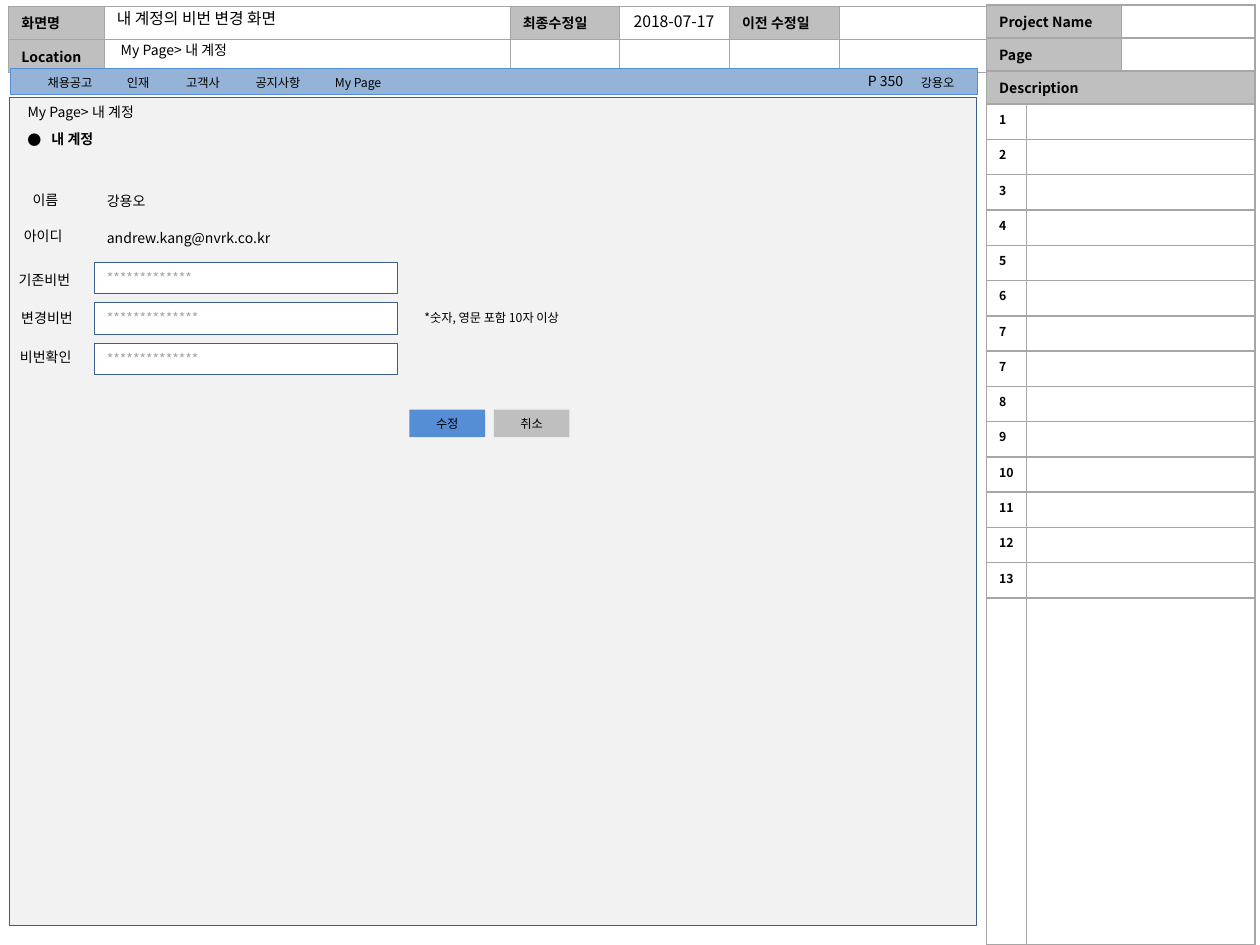
import pptx
import pptx.util
import pptx.dml.color
import pptx.enum.shapes
import pptx.enum.text
import pptx.oxml.ns
from dataclasses import dataclass
from lxml import etree

Inches, Pt = pptx.util.Inches, pptx.util.Pt
qn = pptx.oxml.ns.qn


@dataclass(frozen=True)
class Theme:
    font: str = "Noto Sans CJK KR"
    black: str = "000000"
    white: str = "FFFFFF"
    panel: str = "F2F2F2"
    label: str = "BFBFBF"
    grid: str = "A6A6A6"
    nav: str = "95B3D7"
    accent: str = "558ED5"
    outline: str = "3A5F8C"
    small: int = 7
    body: int = 8
    title: int = 9
    hair: float = 0.25
    thin: float = 0.5
    rule: float = 1


T = Theme()


def rgb(value):
    return pptx.dml.color.RGBColor.from_string(value)


def write(tf, text, size=T.body, color=T.black, bold=False, center=False, bullet=None):
    p = tf.paragraphs[0]
    if center:
        p.alignment = pptx.enum.text.PP_ALIGN.CENTER
    if bullet:
        pPr = p._p.get_or_add_pPr()
        pPr.set("marL", str(Inches(0.19)))
        pPr.set("indent", str(-Inches(0.19)))
        etree.SubElement(pPr, qn("a:buFont")).set("typeface", T.font)
        etree.SubElement(pPr, qn("a:buChar")).set("char", bullet)
    if not text:
        # An empty cell keeps its row low through its end-of-paragraph size
        etree.SubElement(p._p, qn("a:endParaRPr")).set("sz", str(size * 100))
        return
    r = p.add_run()
    r.text = text
    r.font.name, r.font.size, r.font.bold = T.font, Pt(size), bold
    r.font.color.rgb = rgb(color)
    latin = r._r.rPr.find(qn("a:latin"))
    ea = etree.Element(qn("a:ea"))
    ea.set("typeface", T.font)
    latin.addnext(ea)


class Screen:
    def __init__(self, slide, theme):
        self.s, self.t = slide, theme

    def text(self, x, y, w, text, size=T.body, **fmt):
        height = {T.small: 0.22, T.body: 0.24, T.title: 0.25}[size]
        sp = self.s.shapes.add_textbox(Inches(x), Inches(y), Inches(w), Inches(height))
        sp.text_frame.word_wrap = True
        write(sp.text_frame, text, size=size, **fmt)

    def box(self, x, y, w, h, fill, line=None, text=None, **fmt):
        sp = self.s.shapes.add_shape(pptx.enum.shapes.MSO_SHAPE.RECTANGLE,
                                     Inches(x), Inches(y), Inches(w), Inches(h))
        sp.shadow.inherit = False
        sp.fill.solid()
        sp.fill.fore_color.rgb = rgb(fill)
        if line:
            sp.line.color.rgb = rgb(line)
            sp.line.width = Pt(self.t.hair)
        else:
            sp.line.fill.background()
        if text:
            tf = sp.text_frame
            tf.paragraphs[0].alignment = pptx.enum.text.PP_ALIGN.LEFT
            tf.vertical_anchor = pptx.enum.text.MSO_ANCHOR.MIDDLE
            write(tf, text, **fmt)

    def table(self, x, y, cols, rows):
        frame = self.s.shapes.add_table(len(rows), len(cols), Inches(x), Inches(y),
                                        Inches(sum(cols)), Inches(sum(rows)))
        tbl = frame.table
        tbl.first_row = tbl.horz_banding = False
        for col, width in zip(tbl.columns, cols):
            col.width = Inches(width)
        for row, height in zip(tbl.rows, rows):
            row.height = Inches(height)
        return tbl

    def cell(self, cell, text="", fill=T.white, size=T.body, borders=(T.thin,) * 4):
        """Borders are widths for left, right, top and bottom."""
        tcPr = cell._tc.get_or_add_tcPr()
        for side, width in zip("LRTB", borders):
            ln = etree.SubElement(tcPr, qn(f"a:ln{side}"))
            ln.set("w", str(Pt(width)))
            solid = etree.SubElement(ln, qn("a:solidFill"))
            etree.SubElement(solid, qn("a:srgbClr")).set("val", self.t.grid)
        cell.fill.solid()
        cell.fill.fore_color.rgb = rgb(fill)
        # A slim right margin keeps two-digit numbers on one line
        cell.margin_right = Inches(0.02)
        write(cell.text_frame, text, size=size, bold=True)


def add_header(scr):
    tbl = scr.table(0.07, 0.05, [0.76, 3.22, 0.87, 0.87, 0.87, 1.18], [0.26] * 2)
    labels = {(0, 0): "화면명", (0, 2): "최종수정일", (0, 4): "이전 수정일", (1, 0): "Location"}
    for i in range(2):
        for j in range(6):
            text = labels.get((i, j), "")
            scr.cell(tbl.cell(i, j), text, T.label if text else T.white)


def add_description(scr):
    numbers = [1, 2, 3, 4, 5, 6, 7, 7, 8, 9, 10, 11, 12, 13, ""]
    heads = ["Project Name", "Page", "Description"]
    tbl = scr.table(7.83, 0.04, [0.32, 0.75, 1.06],
                    [0.26] * 3 + [0.28] * 14 + [2.75])
    all_rules = (T.rule,) * 4
    for i, head in enumerate(heads):
        last = 2 if head == "Description" else 1
        tbl.cell(i, 0).merge(tbl.cell(i, last))
        for j in range(3):
            scr.cell(tbl.cell(i, j), "" if j else head,
                     T.label if j <= last else T.white, borders=all_rules)
    for i, number in enumerate(numbers, len(heads)):
        tbl.cell(i, 1).merge(tbl.cell(i, 2))
        for j in range(3):
            borders = (T.thin, T.rule, T.rule, T.rule) if j else (T.rule, T.thin, T.rule, T.rule)
            scr.cell(tbl.cell(i, j), "" if j else str(number), size=T.small, borders=borders)


def main():
    prs = pptx.Presentation()
    prs.slide_width, prs.slide_height = Inches(10), Inches(7.5)
    scr = Screen(prs.slides.add_slide(prs.slide_layouts[6]), T)

    # Page panel and tables
    scr.box(0.07, 0.77, 7.68, 6.57, T.panel, T.outline)
    add_header(scr)
    add_description(scr)

    # Header values
    scr.text(0.83, 0.02, 3.07, "내 계정의 비번 변경 화면", size=T.title)
    scr.text(4.93, 0.04, 0.94, "2018-07-17", size=T.title)

    # Navigation bar
    scr.box(0.08, 0.54, 7.68, 0.21, T.nav, T.accent)
    for x, w, item in [(0.28, 0.63, "채용공고"), (0.91, 0.63, "인재"), (1.38, 0.63, "고객사"),
                       (1.93, 0.63, "공지사항"), (2.56, 0.8, "My Page"), (7.21, 0.54, "강용오")]:
        scr.text(x, 0.55, w, item, size=T.small)
    scr.text(6.79, 0.53, 0.57, "P 350")

    # Breadcrumbs and section heading
    for x, y in [(0.86, 0.28), (0.12, 0.77)]:
        scr.text(x, y, 2.59, "My Page> 내 계정")
    scr.text(0.12, 0.99, 1.23, "내 계정", bold=True, bullet="●")

    # Account details
    for x, y, label, value in [(0.16, 1.47, "이름", "강용오"),
                               (0.09, 1.76, "아이디", "andrew.kang@nvrk.co.kr")]:
        scr.text(x, y, 0.91, label)
        scr.text(0.75, y + 0.01, 2.4, value)

    # Password fields
    for i, (x, y, label, length) in enumerate([(0.05, 2.11, "기존비번", 13),
                                               (0.07, 2.41, "변경비번", 14),
                                               (0.06, 2.72, "비번확인", 14)]):
        scr.text(x, y, 0.91, label)
        scr.box(0.75, 2.08 + 0.32 * i, 2.4, 0.25, T.white, T.outline, "*" * length, color=T.grid)
    scr.text(3.27, 2.41, 2.99, "*숫자, 영문 포함 10자 이상", size=T.small)

    # Buttons
    for x, fill, caption in [(3.25, T.accent, "수정"), (3.92, T.label, "취소")]:
        scr.box(x, 3.25, 0.6, 0.22, fill, text=caption, size=T.small, center=True)

    prs.save("out.pptx")


if __name__ == "__main__":
    main()
